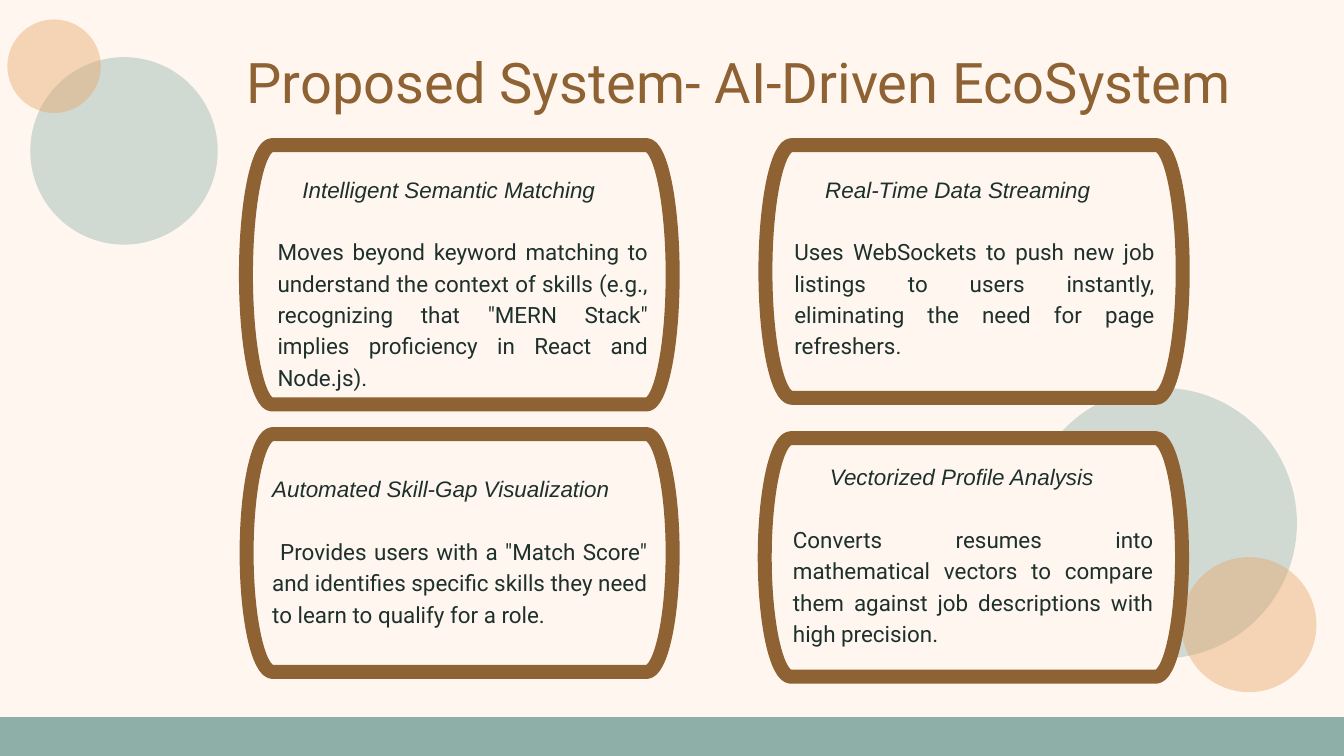
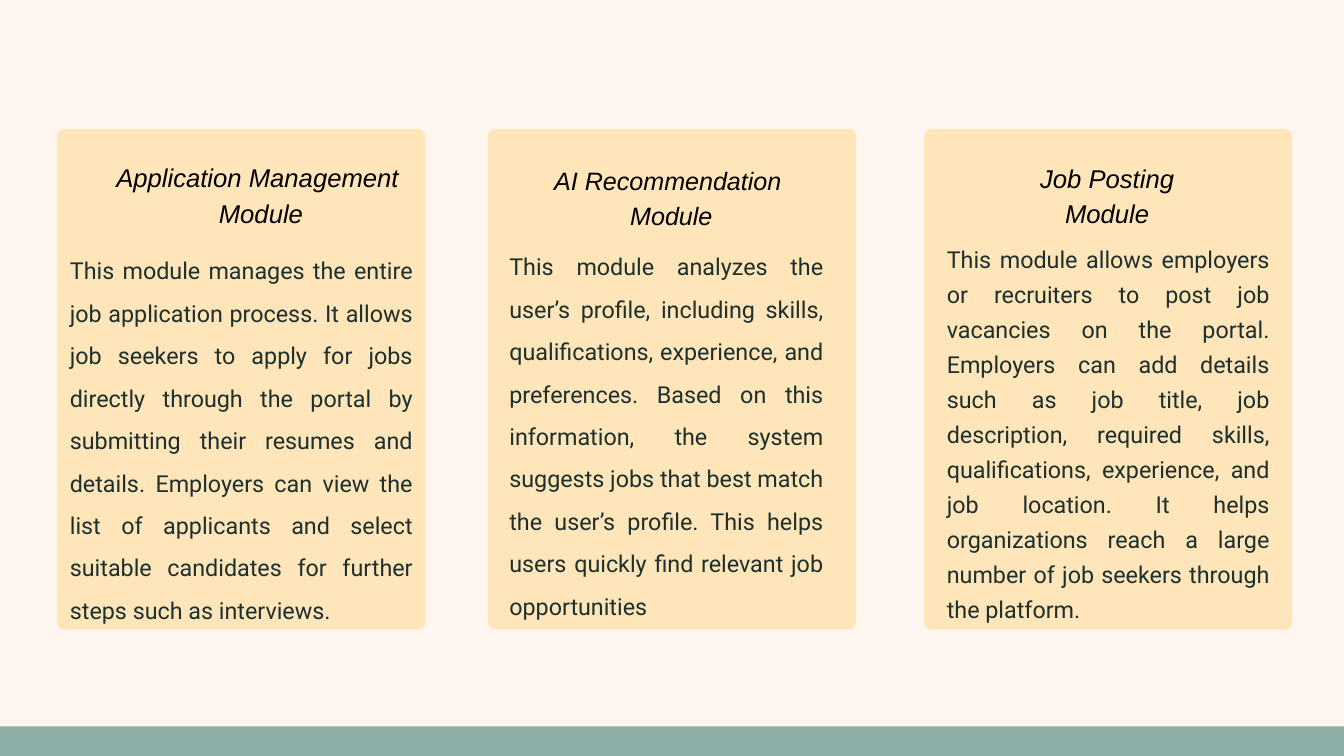
from dataclasses import dataclass

from lxml.etree import SubElement
from pptx import Presentation
from pptx.dml.color import RGBColor
from pptx.enum.shapes import MSO_SHAPE
from pptx.enum.text import MSO_ANCHOR, MSO_AUTO_SIZE, PP_ALIGN
from pptx.oxml.ns import qn
from pptx.util import Inches, Pt


@dataclass(frozen=True)
class Theme:
    """Colours, fonts and type sizes shared by the slides."""
    cream: str = "FFF7EF"
    sage: str = "8DAFA8"
    apricot: str = "E6A160"
    brown: str = "8F6234"
    sand: str = "FFE5BA"
    ink: str = "1E302C"
    black: str = "000000"
    heading_font: str = "Arial"
    body_font: str = "Roboto"
    title_size: float = 60
    feature_size: float = 24
    feature_spacing: float = 33.6
    module_size: float = 25
    frame_width: float = 15


THEME = Theme()
WIDTH, HEIGHT = 20, 11.25
TITLE_ONLY, BLANK = 5, 6
BAND_SIZE = (21.22, 2.7)
ARC = 0.55

CIRCLES = [
    (15.27, 5.77, 4.03, THEME.sage),
    (0.45, 0.85, 2.79, THEME.sage),
    (17.58, 8.29, 2.01, THEME.apricot),
    (0.11, 0.29, 1.39, THEME.apricot),
]

FEATURES = [
    dict(box=(3.66, 2.16, 6.35, 3.86), text_at=(0.47, 0.39, 5.51, 3.2), indents=(0.37, 0),
         heading="Intelligent Semantic Matching",
         detail="Moves beyond keyword matching to understand the context of skills (e.g., "
                "recognizing that \"MERN Stack\" implies proficiency in React and Node.js)."),
    dict(box=(11.39, 2.16, 6.21, 3.76), text_at=(0.43, 0.39, 5.36, 2.75), indents=(0.46, 0),
         heading="Real-Time Data Streaming",
         detail="Uses WebSockets to push new job listings to users instantly, eliminating "
                "the need for page refreshers."),
    dict(box=(11.38, 6.52, 6.21, 3.55), text_at=(0.42, 0.31, 5.36, 2.75), indents=(0.55, 0),
         heading="Vectorized Profile Analysis",
         detail="Converts resumes into mathematical vectors to compare them against job "
                "descriptions with high precision."),
    dict(box=(3.67, 6.46, 6.34, 3.54), text_at=(0.38, 0.55, 5.58, 2.29), indents=(0, 0.12),
         heading="Automated Skill-Gap Visualization",
         detail="Provides users with a \"Match Score\" and identifies specific skills they "
                "need to learn to qualify for a role."),
]

MODULES = [
    dict(box=(7.26, 1.92, 5.48, 7.45), heading_at=(0.32, 0.47, 4.82, 1.03),
         heading_size=26.9, heading_spacing=37.7,
         detail_at=(0.32, 1.62, 4.67, 5.64), detail_spacing=45.5,
         heading=["AI Recommendation ", "Module"],
         detail="This module analyzes the user’s profile, including skills, qualifications, "
                "experience, and preferences. Based on this information, the system suggests "
                "jobs that best match the user’s profile. This helps users quickly find "
                "relevant job opportunities"),
    dict(box=(13.75, 1.92, 5.48, 7.45), heading_at=(1.71, 0.42, 2.03, 1.06),
         heading_size=27.5, heading_spacing=38.5,
         detail_at=(0.34, 1.62, 4.8, 5.72), detail_spacing=37.5,
         heading=["Job Posting ", "Module"],
         detail="This module allows employers or recruiters to post job vacancies on the "
                "portal. Employers can add details such as job title, job description, "
                "required skills, qualifications, experience, and job location. It helps "
                "organizations reach a large number of job seekers through the platform."),
    dict(box=(0.85, 1.92, 5.48, 7.45), heading_at=(0.82, 0.41, 4.32, 1.06),
         heading_size=27.5, heading_spacing=38.5,
         detail_at=(0.19, 1.68, 5.1, 5.59), detail_spacing=45.5,
         heading=["Application Management", " Module"],
         detail="This module manages the entire job application process. It allows job "
                "seekers to apply for jobs directly through the portal by submitting their "
                "resumes and details. Employers can view the list of applicants and select "
                "suitable candidates for further steps such as interviews."),
]


def apply(target, values):
    """Set each named value on the target."""
    for name, value in values.items():
        setattr(target, name, value)


def within(box, offset):
    """Return the box of a part placed relative to its container."""
    return (box[0] + offset[0], box[1] + offset[1], *offset[2:])


def paint(shape, color, opacity=None):
    """Give a shape a flat fill without line or shadow."""
    shape.shadow.inherit = False
    shape.fill.solid()
    shape.fill.fore_color.rgb = RGBColor.from_string(color)
    shape.line.fill.background()
    if opacity is not None:
        tint = shape._element.spPr.find(f"{qn('a:solidFill')}/{qn('a:srgbClr')}")
        SubElement(tint, qn("a:alpha"), val=str(opacity * 1000))


def add_preset(slide, kind, box, color, opacity=None):
    """Add a painted preset shape in a box given in inches."""
    shape = slide.shapes.add_shape(kind, *map(Inches, box))
    paint(shape, color, opacity)
    return shape


def reset_frame(frame):
    """Clear the margins and fit rules of a text frame."""
    apply(frame, dict(word_wrap=True, auto_size=MSO_AUTO_SIZE.NONE,
                      vertical_anchor=MSO_ANCHOR.TOP, margin_left=0, margin_top=0,
                      margin_right=0, margin_bottom=0))


def style(paragraph, text, font, size, color, spacing, align, italic=False, before=0, indent=0):
    """Write one paragraph with its format."""
    paragraph.text = text
    apply(paragraph, dict(alignment=align, line_spacing=Pt(spacing), space_before=Pt(before)))
    if indent:
        paragraph._p.get_or_add_pPr().set("indent", str(Inches(indent)))
    apply(paragraph.font, dict(name=font, size=Pt(size), italic=italic))
    paragraph.font.color.rgb = RGBColor.from_string(color)


def add_text(slide, box, paragraphs):
    """Add a text box from a list of paragraph formats."""
    frame = slide.shapes.add_textbox(*map(Inches, box)).text_frame
    reset_frame(frame)
    for index, values in enumerate(paragraphs):
        style(frame.add_paragraph() if index else frame.paragraphs[0], **values)


def start_slide(deck, layout, band_left, band_top):
    """Add a cream slide with the sage band bleeding off its foot."""
    slide = deck.slides.add_slide(deck.slide_layouts[layout])
    slide.background.fill.solid()
    slide.background.fill.fore_color.rgb = RGBColor.from_string(THEME.cream)
    add_preset(slide, MSO_SHAPE.RECTANGLE, (band_left, band_top, *BAND_SIZE), THEME.sage)
    return slide


def add_title(slide, box, text):
    """Place and format the title placeholder."""
    title = slide.shapes.title
    apply(title, dict(zip(("left", "top", "width", "height"), map(Inches, box))))
    reset_frame(title.text_frame)
    style(title.text_frame.paragraphs[0], text, THEME.body_font, THEME.title_size,
          THEME.brown, 84, PP_ALIGN.LEFT)


def bend(segment, start, end, leaves_level):
    """Turn a straight segment into a quarter of an ellipse."""
    (x0, y0), (x1, y1) = start, end
    dx, dy = ARC * (x1 - x0), ARC * (y1 - y0)
    if leaves_level:
        controls = [(x0 + dx, y0), (x1, y1 - dy)]
    else:
        controls = [(x0, y0 + dy), (x1 - dx, y1)]
    curve = SubElement(segment.getparent(), qn("a:cubicBezTo"))
    for x, y in [*controls, end]:
        SubElement(curve, qn("a:pt"), x=str(round(x)), y=str(round(y)))
    segment.getparent().replace(segment, curve)


def add_barrel(slide, box, bulge=0.39):
    """Draw a frame with half-elliptic sides in the box."""
    left, top, width, height = map(Inches, box)
    inner, middle = Inches(bulge), height // 2
    corners = [(width - inner, 0), (width, middle), (width - inner, height),
               (inner, height), (0, middle), (inner, 0)]
    builder = slide.shapes.build_freeform(*corners[0])
    builder.add_line_segments(corners[1:], close=True)
    barrel = builder.convert_to_shape(left, top)
    segments = list(barrel._element.iter(qn("a:lnTo")))
    for index in (0, 1, 3, 4):
        bend(segments[index], corners[index], corners[index + 1], index in (0, 3))
    paint(barrel, THEME.cream)
    barrel.line.color.rgb = RGBColor.from_string(THEME.brown)
    barrel.line.width = Pt(THEME.frame_width)


def add_feature(slide, box, text_at, indents, heading, detail):
    """Write a feature heading and its detail inside the box."""
    shared = dict(size=THEME.feature_size, color=THEME.ink, spacing=THEME.feature_spacing,
                  align=PP_ALIGN.JUSTIFY)
    add_text(slide, within(box, text_at), [
        dict(text=heading, font=THEME.heading_font, italic=True, indent=indents[0], **shared),
        dict(text=detail, font=THEME.body_font, before=THEME.feature_spacing,
             indent=indents[1], **shared),
    ])


def add_module(slide, box, heading_at, heading_size, heading_spacing, detail_at,
               detail_spacing, heading, detail):
    """Draw a module card with its heading and description."""
    card = add_preset(slide, MSO_SHAPE.ROUNDED_RECTANGLE, box, THEME.sand)
    card.adjustments[0] = 0.02
    add_text(slide, within(box, detail_at), [
        dict(text=detail, font=THEME.body_font, size=THEME.module_size, color=THEME.ink,
             spacing=detail_spacing, align=PP_ALIGN.JUSTIFY)])
    add_text(slide, within(box, heading_at), [
        dict(text=line, font=THEME.heading_font, size=heading_size, color=THEME.black,
             spacing=heading_spacing, align=PP_ALIGN.CENTER, italic=True)
        for line in heading])


def build_features(deck):
    """Build the slide of the four system features."""
    slide = start_slide(deck, TITLE_ONLY, 0, 10.67)
    for left, top, size, color in CIRCLES:
        add_preset(slide, MSO_SHAPE.OVAL, (left, top, size, size), color, opacity=40)
    for feature in FEATURES:
        add_barrel(slide, feature["box"])
    add_title(slide, (3.67, 0.54, 15.03, 1.11), "Proposed System- AI-Driven EcoSystem")
    for feature in FEATURES:
        add_feature(slide, **feature)


def build_modules(deck):
    """Build the slide of the three module cards."""
    slide = start_slide(deck, BLANK, -0.61, 10.81)
    for module in MODULES:
        add_module(slide, **module)


def main():
    """Build and save the deck."""
    deck = Presentation()
    apply(deck, dict(slide_width=Inches(WIDTH), slide_height=Inches(HEIGHT)))
    build_features(deck)
    build_modules(deck)
    deck.save("out.pptx")


if __name__ == "__main__":
    main()
